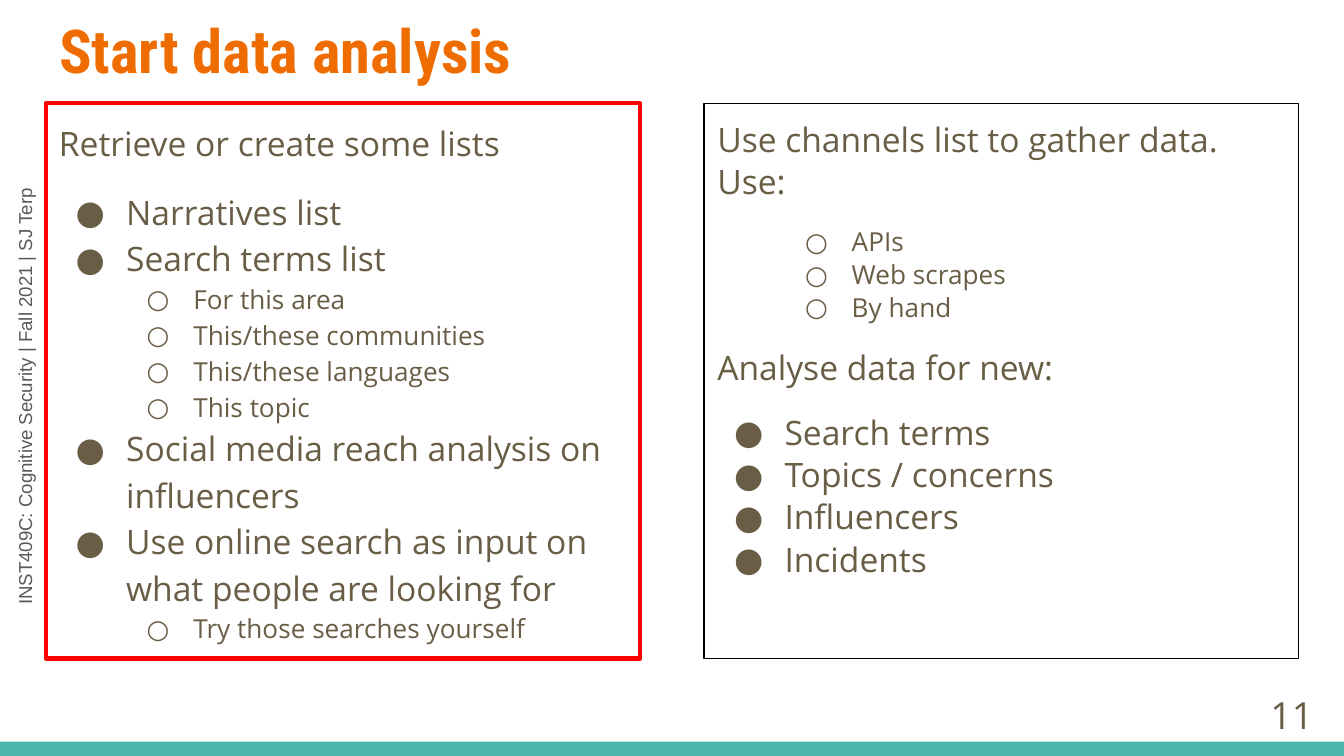
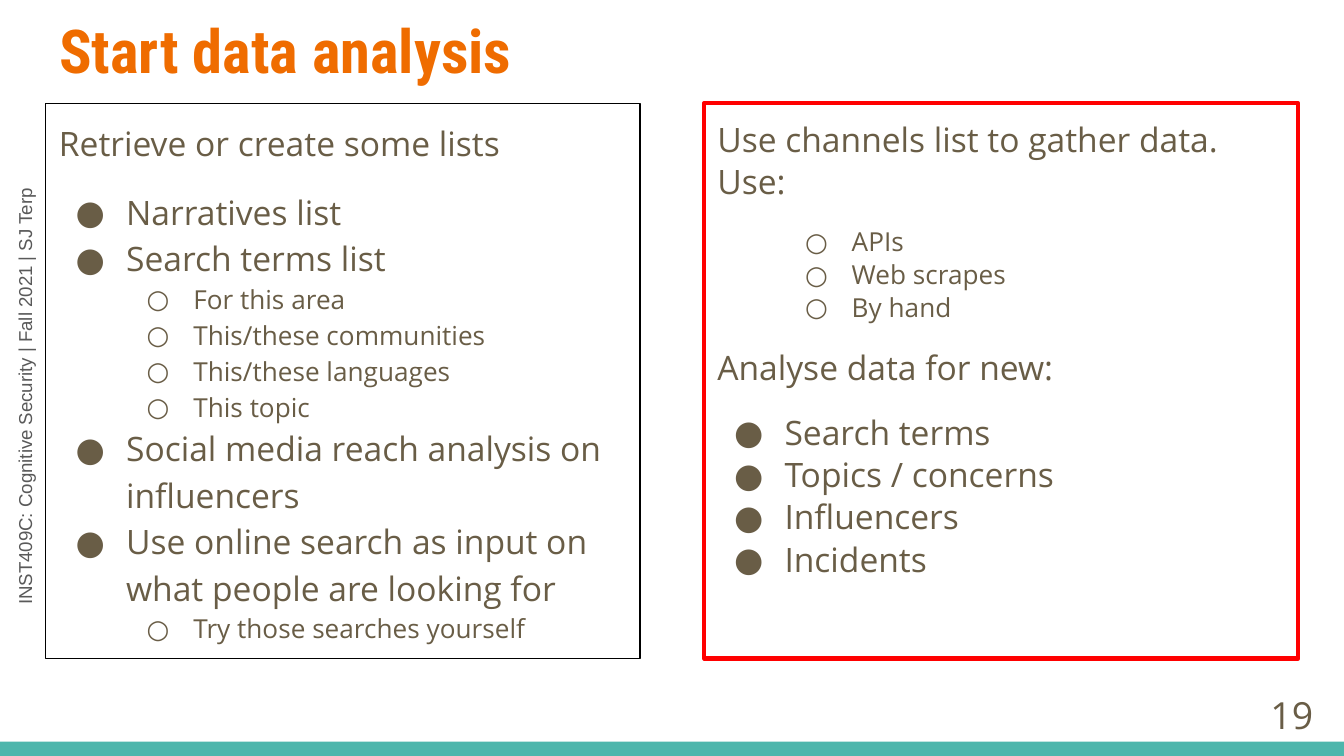
from lxml.etree import SubElement
from pptx import Presentation
from pptx.dml.color import RGBColor
from pptx.enum.shapes import MSO_SHAPE as SHAPE
from pptx.enum.text import MSO_ANCHOR as ANCHOR, MSO_AUTO_SIZE as AUTO, PP_ALIGN as ALIGN
from pptx.oxml.ns import qn
from pptx.util import Pt

ORANGE = RGBColor(0xEF, 0x6C, 0x00)
TEAL = RGBColor(0x4D, 0xB6, 0xAC)
BROWN = RGBColor(0x69, 0x5D, 0x46)
GREY = RGBColor(0x59, 0x59, 0x59)
RED = RGBColor(0xFF, 0x00, 0x00)
BLACK = RGBColor(0x00, 0x00, 0x00)

BODY_FONT = "Open Sans"
WIDTH, HEIGHT = 720, 405
MARGIN, TITLE_H = 24.5, 55.4
PANEL_W, PANEL_H = 318.3, 297.4
INSET = 7.2

# Each style: font size, left indent, first-line indent, bullet, level
STYLES = {
    "plain": (18, 0, 0, None, 0),
    "item": (18, 36, -27, "●", 0),
    "sub": (14, 72, -25, "○", 1),
}

LISTS = [
    ("plain", "Retrieve or create some lists", 0),
    ("item", "Narratives list", 12),
    ("item", "Search terms list", 0),
    ("sub", "For this area", 0),
    ("sub", "This/these communities", 0),
    ("sub", "This/these languages", 0),
    ("sub", "This topic", 0),
    ("item", "Social media reach analysis on influencers", 0),
    ("item", "Use online search as input on what people are looking for", 0),
    ("sub", "Try those searches yourself", 0),
]
CHANNELS = [
    ("plain", "Use channels list to gather data. Use:", 0),
    ("sub", "APIs", 12),
    ("sub", "Web scrapes", 0),
    ("sub", "By hand", 0),
    ("plain", "Analyse data for new:", 12),
    ("item", "Search terms", 12),
    ("item", "Topics / concerns", 0),
    ("item", "Influencers", 0),
    ("item", "Incidents", 0),
]


def style_frame(tf, anchor=ANCHOR.TOP):
    """Give a text frame the shared insets, wrapping and anchor."""
    tf.margin_left = tf.margin_right = tf.margin_top = tf.margin_bottom = Pt(INSET)
    tf.word_wrap = True
    tf.auto_size = AUTO.NONE
    tf.vertical_anchor = anchor


def style_text(p, size, color, font=BODY_FONT, bold=False, align=ALIGN.LEFT):
    """Format the runs of one paragraph."""
    p.alignment = align
    for r in p.runs:
        r.font.size = Pt(size)
        r.font.name = font
        r.font.bold = bold
        r.font.color.rgb = color


def set_bullet(p, left, indent, char):
    """Set the indents and bullet of a paragraph."""
    pPr = p._p.get_or_add_pPr()
    pPr.set("marL", str(Pt(left)))
    pPr.set("indent", str(Pt(indent)))
    if char is None:
        SubElement(pPr, qn("a:buNone"))
        return
    color = SubElement(pPr, qn("a:buClr"))
    SubElement(color, qn("a:srgbClr")).set("val", str(BROWN))
    SubElement(pPr, qn("a:buFont")).set("typeface", BODY_FONT)
    SubElement(pPr, qn("a:buChar")).set("char", char)


def add_title(s, text):
    """Place and format the title placeholder."""
    sp = s.shapes.title
    sp.left, sp.top, sp.width, sp.height = Pt(MARGIN), Pt(0), Pt(WIDTH - 2 * MARGIN), Pt(TITLE_H)
    style_frame(sp.text_frame)
    sp.text_frame.text = text
    style_text(sp.text_frame.paragraphs[0], 32.4, ORANGE, "Roboto Condensed", bold=True)


def add_label(s, text, box, size, color, font=BODY_FONT, align=ALIGN.LEFT, anchor=ANCHOR.TOP):
    """Add a one-line text box and return it."""
    sp = s.shapes.add_textbox(*map(Pt, box))
    style_frame(sp.text_frame, anchor)
    sp.text_frame.text = text
    style_text(sp.text_frame.paragraphs[0], size, color, font, align=align)
    return sp


def add_frame(s, number):
    """Add the side label, bottom band and page number."""
    side = add_label(s, "INST409C: Cognitive Security | Fall 2021 | SJ Terp",
                     (-115.2, 189.3, 257, 26.6), 10, GREY, "Arial")
    side.rotation = 270
    band = s.shapes.add_shape(SHAPE.RECTANGLE, Pt(0), Pt(397.4), Pt(WIDTH), Pt(HEIGHT - 397.4))
    band.shadow.inherit = False
    band.fill.solid()
    band.fill.fore_color.rgb = TEAL
    band.line.fill.background()
    add_label(s, str(number), (667.4, 367.2, 43.2, 31), 20, BROWN,
              align=ALIGN.RIGHT, anchor=ANCHOR.MIDDLE)


def add_panel(s, left, entries, spacing, active):
    """Add an outlined list panel, in red when active."""
    sp = s.shapes.add_shape(SHAPE.RECTANGLE, Pt(left), Pt(TITLE_H), Pt(PANEL_W), Pt(PANEL_H))
    sp.shadow.inherit = False
    sp.fill.background()
    sp.line.color.rgb = RED if active else BLACK
    sp.line.width = Pt(2.25 if active else 0.75)
    tf = sp.text_frame
    style_frame(tf)
    for i, (style, text, before) in enumerate(entries):
        size, indent, first, char, level = STYLES[style]
        p = tf.add_paragraph() if i else tf.paragraphs[0]
        p.text = text
        p.level = level
        p.line_spacing = spacing
        p.space_before = Pt(before)
        style_text(p, size, BROWN)
        set_bullet(p, indent, first, char)


def add_analysis_slide(prs, number, active):
    """Add one slide with the active panel highlighted."""
    s = prs.slides.add_slide(prs.slide_layouts[5])
    add_title(s, "Start data analysis")
    add_frame(s, number)
    add_panel(s, MARGIN, LISTS, 1.15, active == "lists")
    add_panel(s, WIDTH - MARGIN - PANEL_W, CHANNELS, 1.05, active == "channels")


def main():
    """Build the deck and save it."""
    prs = Presentation()
    prs.slide_width, prs.slide_height = Pt(WIDTH), Pt(HEIGHT)
    add_analysis_slide(prs, 11, "lists")
    add_analysis_slide(prs, 19, "channels")
    prs.save("out.pptx")


if __name__ == "__main__":
    main()
